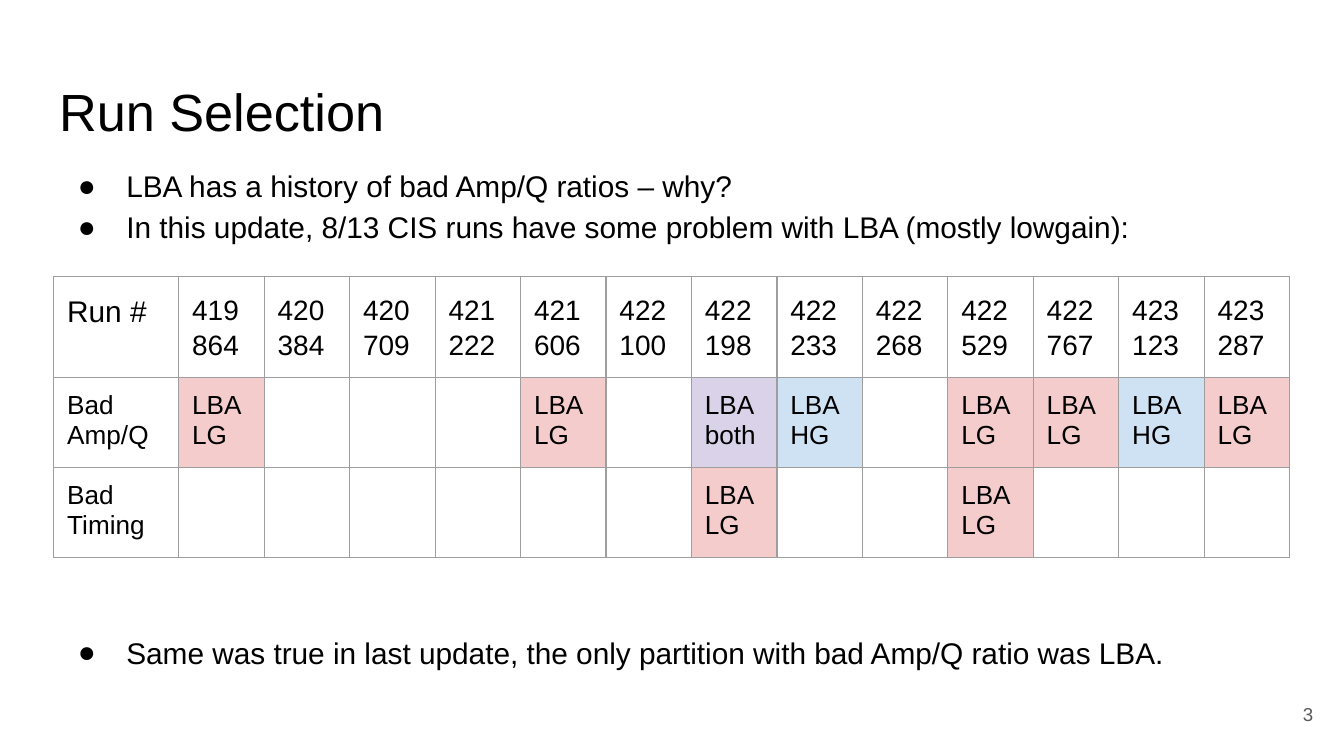
from lxml import etree
from pptx import Presentation
from pptx import util as u
from pptx.dml.color import RGBColor
from pptx.enum import text
from pptx.oxml.ns import qn

COLORS = {"text": "000000", "number": "595959", "border": "9E9E9E",
          "LBA LG": "F4CCCC", "LBA HG": "CFE2F3", "LBA both": "D9D2E9"}
MARGIN = u.Inches(0.1)


def write(paragraph, words, size=16, color="text", spacing=1.0, before=0, after=0,
          align=text.PP_ALIGN.LEFT, bullet=None):
    paragraph.alignment = align
    paragraph.line_spacing = spacing
    paragraph.space_before, paragraph.space_after = u.Pt(before), u.Pt(after)
    run = paragraph.add_run()
    run.text = words
    run.font.name, run.font.size = "Arial", u.Pt(size)
    run.font.color.rgb = RGBColor.from_string(COLORS[color])
    if bullet:
        properties = paragraph._p.get_or_add_pPr()
        properties.set("marL", str(u.Inches(0.5)))
        properties.set("indent", str(u.Inches(-0.36)))
        bullet_color = etree.SubElement(properties, qn("a:buClr"))
        etree.SubElement(bullet_color, qn("a:srgbClr"), val=COLORS[color])
        etree.SubElement(properties, qn("a:buFont"), typeface="Arial")
        etree.SubElement(properties, qn("a:buChar"), char=bullet)


def prepare_frame(shape, left, top, width, height, anchor=text.MSO_ANCHOR.TOP):
    """Place a text shape and return its text frame with even margins."""
    shape.left, shape.top = u.Inches(left), u.Inches(top)
    shape.width, shape.height = u.Inches(width), u.Inches(height)
    frame = shape.text_frame
    frame.word_wrap, frame.auto_size = True, text.MSO_AUTO_SIZE.NONE
    frame.vertical_anchor = anchor
    frame.margin_left = frame.margin_right = MARGIN
    frame.margin_top = frame.margin_bottom = MARGIN
    return frame


presentation = Presentation()
presentation.slide_width = u.Inches(10)
presentation.slide_height = presentation.slide_width * 9 // 16
slide = presentation.slides.add_slide(presentation.slide_layouts[1])

# Title and list
title = prepare_frame(slide.shapes.title, 0.34, 0.49, 9.32, 0.63)
write(title.paragraphs[0], "Run Selection", size=28)

body = prepare_frame(slide.placeholders[1], 0.34, 1.11, 9.32, 3.74)
table_gap = 206
points = [
    ("LBA has a history of bad Amp/Q ratios – why?", 0),
    ("In this update, 8/13 CIS runs have some problem with LBA (mostly lowgain):", 0),
    ("Same was true in last update, the only partition with bad Amp/Q ratio was LBA.", table_gap),
]
for index, (words, before) in enumerate(points):
    paragraph = body.add_paragraph() if index else body.paragraphs[0]
    write(paragraph, words, spacing=1.15, before=before, bullet="●")

# Slide number
number_box = slide.shapes.add_textbox(0, 0, 0, 0)
number = prepare_frame(number_box, 9.27, 5.1, 0.6, 0.43, text.MSO_ANCHOR.MIDDLE)
write(number.paragraphs[0], "3", size=10, color="number", align=text.PP_ALIGN.RIGHT)

# Run table: problems are listed by run
runs = ["419864", "420384", "420709", "421222", "421606", "422100", "422198",
        "422233", "422268", "422529", "422767", "423123", "423287"]
bad_amplitude = {"419864": "LBA LG", "421606": "LBA LG", "422198": "LBA both",
                 "422233": "LBA HG", "422529": "LBA LG", "422767": "LBA LG",
                 "423123": "LBA HG", "423287": "LBA LG"}
bad_timing = {"422198": "LBA LG", "422529": "LBA LG"}
rows = [["Run #"] + runs]
for label, problems in [("Bad Amp/Q", bad_amplitude), ("Bad Timing", bad_timing)]:
    rows.append([label] + [problems.get(run, "") for run in runs])

row_heights = [0.75, 0.67, 0.67]
table_width, label_width = 9.2, 0.93
table = slide.shapes.add_table(len(rows), len(rows[0]), u.Inches(0.4), u.Inches(2.06),
                               u.Inches(table_width), u.Inches(sum(row_heights))).table
table.first_row = table.horz_banding = False
for index, column in enumerate(table.columns):
    column.width = u.Inches((table_width - label_width) / len(runs) if index else label_width)

for row_index, values in enumerate(rows):
    table.rows[row_index].height = u.Inches(row_heights[row_index])
    for column_index, words in enumerate(values):
        cell = table.cell(row_index, column_index)
        cell.margin_left = cell.margin_right = MARGIN
        cell.margin_top = cell.margin_bottom = MARGIN
        cell_properties = cell._tc.get_or_add_tcPr()
        for side in ("a:lnL", "a:lnR", "a:lnT", "a:lnB"):
            line = etree.SubElement(cell_properties, qn(side), w=str(u.Pt(0.75)))
            line_fill = etree.SubElement(line, qn("a:solidFill"))
            etree.SubElement(line_fill, qn("a:srgbClr"), val=COLORS["border"])
        if words in COLORS:
            cell.fill.solid()
            cell.fill.fore_color.rgb = RGBColor.from_string(COLORS[words])
        else:
            cell.fill.background()
        paragraph = cell.text_frame.paragraphs[0]
        if row_index == 0:
            write(paragraph, words, size=15 if column_index else 16, spacing=1.15, after=16)
        elif words:
            write(paragraph, words, size=14)

presentation.save("out.pptx")
